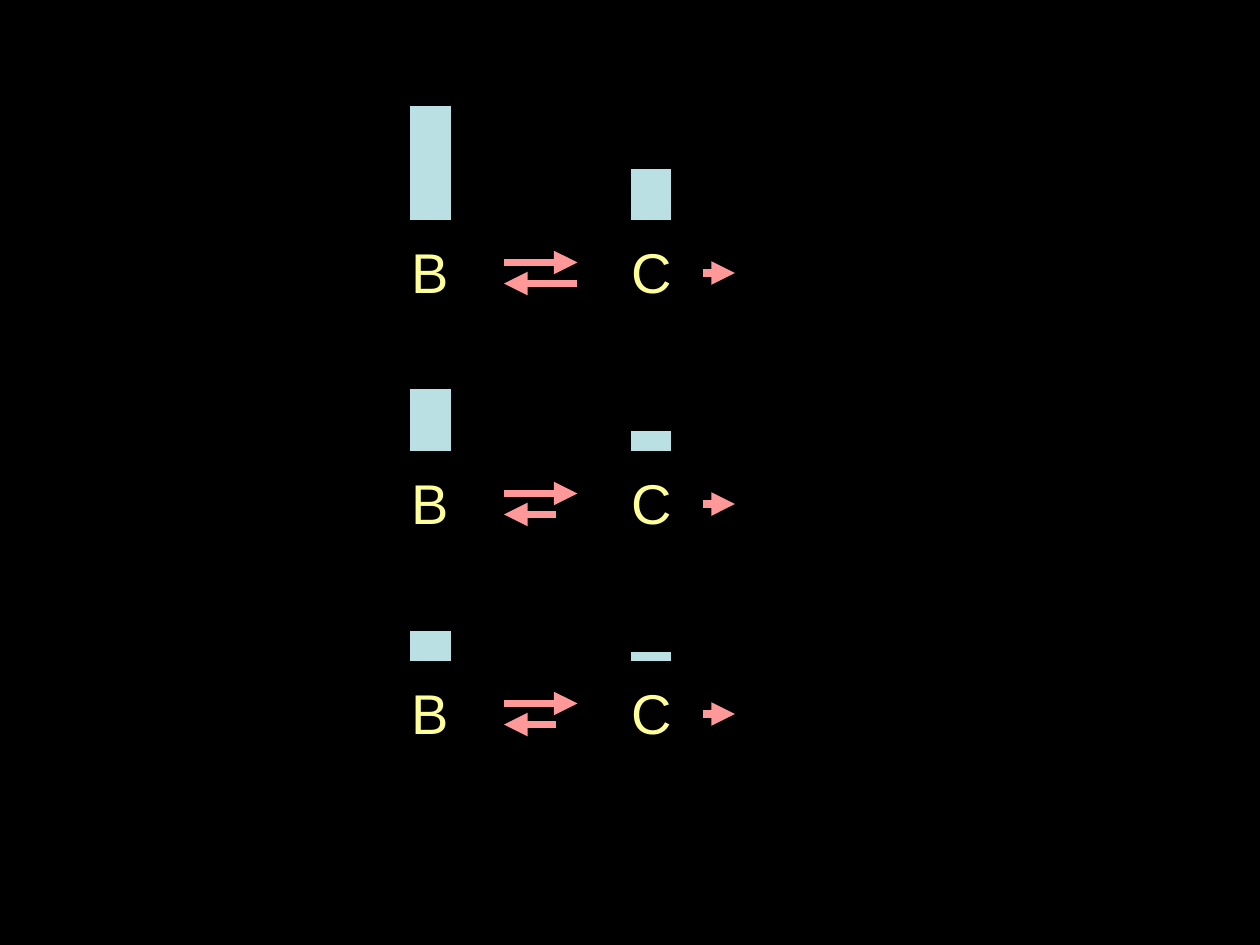
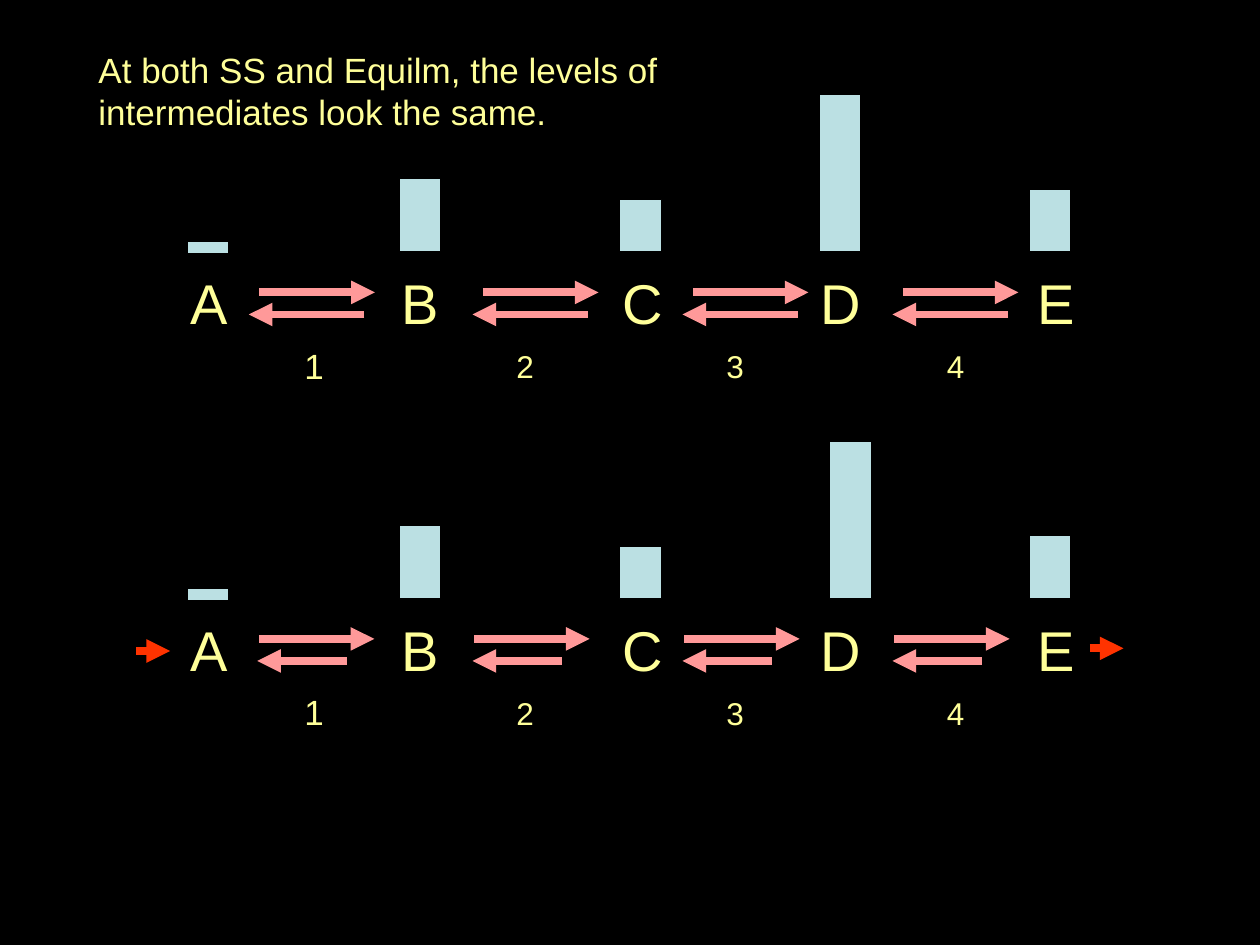
from dataclasses import dataclass

from lxml import etree
from pptx import Presentation
from pptx import util as u
from pptx.dml.color import RGBColor
from pptx.enum import shapes, text
from pptx.oxml import ns

COLUMNS, ROWS = 120, 90  # square cells, twelve to the inch
CELL = u.Inches(10) // COLUMNS


@dataclass(frozen=True)
class Theme:
    background: str = "000000"
    ink: str = "FFFF99"
    bar: str = "BBE0E3"
    arrow: str = "FF9999"
    flow: str = "FF3300"
    font: str = "Arial"
    letter: float = 32
    caption: float = 20
    number: float = 18
    arrow_width: float = 4.5
    bar_outline: float = 0.75


THEME = Theme()


def cells(*values):
    return [round(value * CELL) for value in values]


def color(code):
    return RGBColor.from_string(code)


def add_page(deck):
    page = deck.slides.add_slide(deck.slide_layouts[6])
    page.background.fill.solid()
    page.background.fill.fore_color.rgb = color(THEME.background)
    return page


def add_text(page, content, left, top, width, height, size=THEME.letter):
    box = page.shapes.add_textbox(*cells(left, top, width, height))
    frame = box.text_frame
    frame.word_wrap = False
    frame.auto_size = text.MSO_AUTO_SIZE.SHAPE_TO_FIT_TEXT
    frame.text = content
    for para in frame.paragraphs:
        for span in para.runs:
            span.font.name = THEME.font
            span.font.size = u.Pt(size)
            span.font.color.rgb = color(THEME.ink)


def add_bar(page, left, bottom, height):
    bar = page.shapes.add_shape(
        shapes.MSO_SHAPE.RECTANGLE, *cells(left, bottom - height, 4, height))
    bar.shadow.inherit = False
    bar.fill.solid()
    bar.fill.fore_color.rgb = color(THEME.bar)
    bar.line.color.rgb = color(THEME.background)
    bar.line.width = u.Pt(THEME.bar_outline)


def add_arrow(page, start, end, row, shade=THEME.arrow):
    """Draw a level arrow from one column to another."""
    arrow = page.shapes.add_connector(
        shapes.MSO_CONNECTOR.STRAIGHT, *cells(start, row, end, row))
    arrow.line.color.rgb = color(shade)
    arrow.line.width = u.Pt(THEME.arrow_width)
    etree.SubElement(arrow.line._get_or_add_ln(), ns.qn("a:tailEnd"), type="triangle")
    etree.SubElement(arrow._element.spPr, ns.qn("a:effectLst"))


def add_metabolite(page, letter, left, base, bar_left, level, drop=0):
    """Write a letter below the base row, with its level as a bar above."""
    add_bar(page, bar_left, base + drop, level)
    add_text(page, letter, left, base + 1, 6.2 if letter in "CD" else 5.9, 7.7)


def add_reaction(page, left, row, lead, forward, backward, gap=2):
    """Pair a forward arrow, `lead` columns in, with a backward arrow under it."""
    add_arrow(page, left + lead, left + lead + forward, row)
    add_arrow(page, left + backward, left, row + gap)


def build_drain_page(page):
    for base, b_level, c_level, backward in ((21, 11, 5, 7), (43, 6, 2, 5), (63, 3, 1, 5)):
        add_metabolite(page, "B", 38, base, 39, b_level)
        add_metabolite(page, "C", 59, base, 60, c_level)
        add_reaction(page, 48, base + 4, 0, 7, backward)
        add_arrow(page, 67, 70, base + 5)


def add_pathway(page, base, d_bar, first_reaction, lead, backward):
    metabolites = (
        ("A", 17, 17.8, 1.2, 0.2), ("B", 37.1, 38, 7, 0), ("C", 58.1, 59, 5, 0),
        ("D", 77, d_bar, 15, 0), ("E", 97.6, 98, 6, 0))
    for letter, left, bar_left, level, drop in metabolites:
        add_metabolite(page, letter, left, base, bar_left, level, drop)
    for left in (first_reaction, 45, 65, 85):
        add_reaction(page, left, base + 3.85, lead, 11, backward, gap=2.1)
    add_text(page, "1", 27.8, base + 8.2, 4.2, 5.3, size=THEME.caption)
    for number, left in (("2", 48), ("3", 68), ("4", 89)):
        add_text(page, number, left, base + 8.5, 4.1, 4.8, size=THEME.number)


def build_comparison_page(page):
    add_pathway(page, base=24, d_bar=78, first_reaction=23.7, lead=1, backward=11)
    add_pathway(page, base=57, d_bar=79, first_reaction=24.5, lead=0.15, backward=8.5)
    add_arrow(page, 13, 16.2, 62, shade=THEME.flow)
    add_arrow(page, 103.8, 107, 61.75, shade=THEME.flow)
    add_text(page, "At both SS and Equilm, the levels of\nintermediates look the same.",
             8.2, 4, 56.6, 9.2, size=THEME.caption)


def main():
    deck = Presentation()
    deck.slide_width, deck.slide_height = cells(COLUMNS, ROWS)
    build_drain_page(add_page(deck))
    build_comparison_page(add_page(deck))
    deck.save("out.pptx")


if __name__ == "__main__":
    main()
